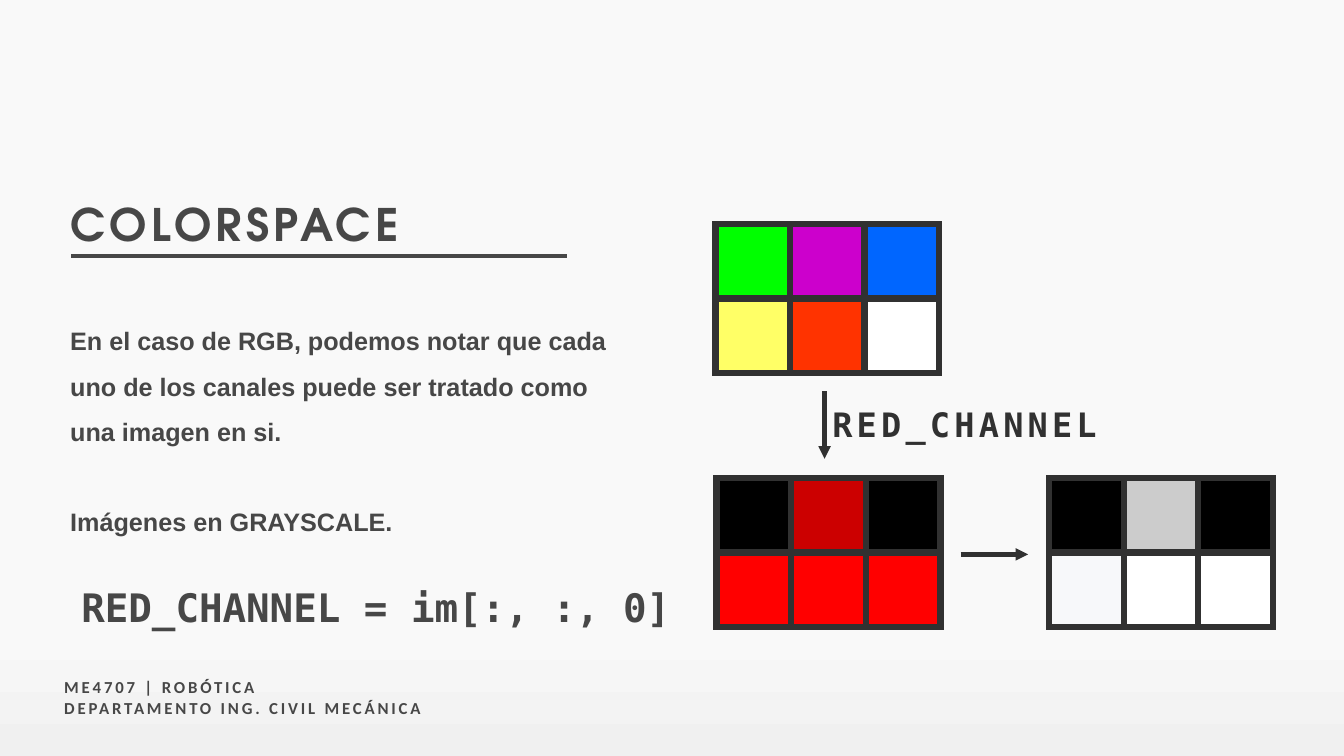
from copy import deepcopy
from dataclasses import dataclass

from lxml.etree import SubElement
from pptx import Presentation
from pptx.dml.color import RGBColor
from pptx.enum.shapes import MSO_CONNECTOR as Connector, MSO_SHAPE as Shape
from pptx.enum.text import MSO_AUTO_SIZE as AutoSize, PP_ALIGN as Align
from pptx.oxml.ns import qn
from pptx.slide import Slide
from pptx.util import Cm, Pt

COLORS = {
    "background": "F9F9F9", "background_end": "F0F0F0",
    "text": "474747", "outline": "313131",
    "green": "00FF00", "purple": "CC00CC", "blue": "0066FF",
    "yellow": "FFFF66", "orange": "FF3300", "white": "FFFFFF",
    "black": "000000", "dark_red": "CC0000", "red": "FF0000",
    "gray": "CCCCCC", "off_white": "F7F8FA",
}
CELL = 1.88
COLUMNS = 3


@dataclass
class PixelGrid:
    left: float
    top: float
    cells: list[str]


@dataclass
class Line:
    start: tuple[float, float]
    end: tuple[float, float]
    color: str = "outline"
    width: float = 3
    arrow: bool = True


@dataclass
class Text:
    left: float
    top: float
    width: float
    height: float
    paragraphs: list[str]
    font: str
    size: float
    color: str = "text"
    tracking: int = 0
    line_spacing: float = 1.0
    gap: float = 0
    align: Align = Align.LEFT


GRIDS = [
    PixelGrid(18.03, 5.64, ["green", "purple", "blue", "yellow", "orange", "white"]),
    PixelGrid(18.06, 12.04, ["black", "dark_red", "black", "red", "red", "red"]),
    PixelGrid(26.44, 12.04, ["black", "gray", "black", "off_white", "white", "white"]),
]
LINES = [
    Line((1.8, 6.45), (14.3, 6.45), "text", 2.25, False),
    Line((20.78, 9.86), (20.78, 11.56)),
    Line((24.21, 13.97), (25.91, 13.97)),
]
TEXTS = [
    Text(1.52, 4.83, 12.75, 1.63, ["COLORSPACE"], "TeX Gyre Adventor", 32, tracking=3),
    Text(1.37, 16.94, 17.17, 1.27,
         ["ME4707 | ROBÓTICA", "DEPARTAMENTO ING. CIVIL MECÁNICA"], "Calibri", 12, tracking=2),
    Text(1.52, 7.7, 14.27, 5.89,
         ["En el caso de RGB, podemos notar que cada uno de los canales "
          "puede ser tratado como una imagen en si.",
          "Imágenes en GRAYSCALE."], "Arial", 18, line_spacing=1.5, gap=32),
    Text(20.12, 10.06, 8.38, 1.27, ["RED_CHANNEL"], "DejaVu Sans Mono", 24,
         "outline", tracking=3, align=Align.CENTER),
    Text(1.8, 13.97, 15.44, 1.85, ["RED_CHANNEL = im[:, :, 0]"],
         "DejaVu Sans Mono", 28, line_spacing=1.5),
]


def rgb(name: str) -> RGBColor:
    return RGBColor.from_string(COLORS[name])


def paint_background(slide: Slide) -> None:
    fill = slide.background.fill
    fill.gradient()
    fill.gradient_angle = 270
    stop_list = slide.element.find(".//" + qn("a:gsLst"))
    stop_list.insert(0, deepcopy(stop_list[0]))
    stops = [(0, "background"), (0.83, "background"), (1, "background_end")]
    for stop, (position, color) in zip(fill.gradient_stops, stops):
        stop.position = position
        stop.color.rgb = rgb(color)


def draw_grid(slide: Slide, grid: PixelGrid) -> None:
    for index, color in enumerate(grid.cells):
        row, column = divmod(index, COLUMNS)
        shape = slide.shapes.add_shape(
            Shape.RECTANGLE, Cm(grid.left + column * CELL), Cm(grid.top + row * CELL),
            Cm(CELL), Cm(CELL))
        shape.shadow.inherit = False
        shape.fill.solid()
        shape.fill.fore_color.rgb = rgb(color)
        shape.line.color.rgb = rgb("outline")
        shape.line.width = Pt(4.5)
        outline = shape.element.spPr.find(qn("a:ln"))
        SubElement(outline, qn("a:miter"), lim="800000")


def draw_line(slide: Slide, line: Line) -> None:
    connector = slide.shapes.add_connector(
        Connector.STRAIGHT, *map(Cm, line.start), *map(Cm, line.end))
    connector.line.color.rgb = rgb(line.color)
    connector.line.width = Pt(line.width)
    properties = connector.element.spPr
    if line.arrow:
        SubElement(properties.find(qn("a:ln")), qn("a:tailEnd"), type="triangle")
    SubElement(properties, qn("a:effectLst"))


def draw_text(slide: Slide, text: Text) -> None:
    box = slide.shapes.add_textbox(
        Cm(text.left), Cm(text.top), Cm(text.width), Cm(text.height))
    frame = box.text_frame
    frame.word_wrap = True
    frame.auto_size = AutoSize.SHAPE_TO_FIT_TEXT
    frame.text = "\n".join(text.paragraphs)
    for index, paragraph in enumerate(frame.paragraphs):
        paragraph.alignment = text.align
        paragraph.line_spacing = text.line_spacing
        if index and text.gap:
            paragraph.space_before = Pt(text.gap)
        font = paragraph.font
        font.name = text.font
        font.size = Pt(text.size)
        font.bold = True
        font.color.rgb = rgb(text.color)
        if text.tracking:
            for run in paragraph.runs:
                run.font.bold = True
                run.font._element.set("spc", str(text.tracking * 100))


def main() -> None:
    """Build the colorspace slide and save it."""
    presentation = Presentation()
    presentation.slide_width = Cm(33.87)
    presentation.slide_height = Cm(19.05)
    slide = presentation.slides.add_slide(presentation.slide_layouts[6])
    paint_background(slide)
    for grid in GRIDS:
        draw_grid(slide, grid)
    for line in LINES:
        draw_line(slide, line)
    for text in TEXTS:
        draw_text(slide, text)
    presentation.save("out.pptx")


if __name__ == "__main__":
    main()
